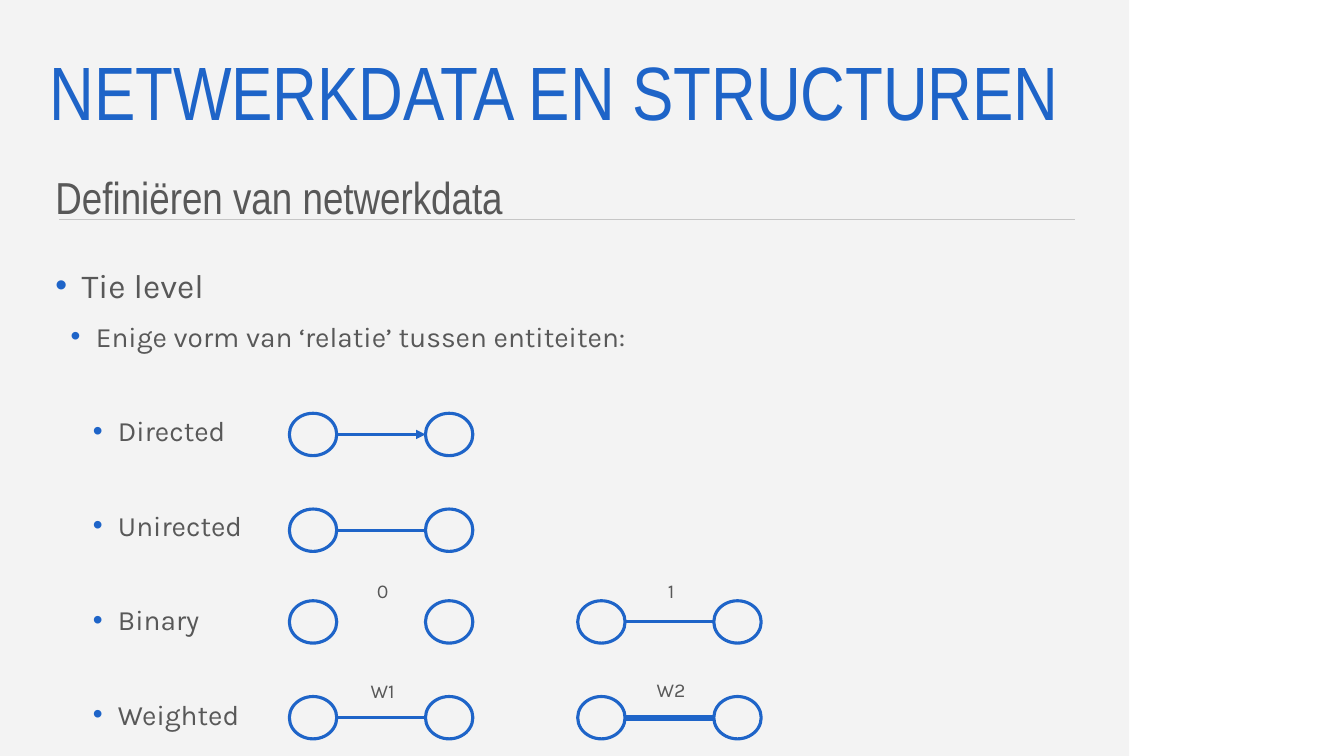
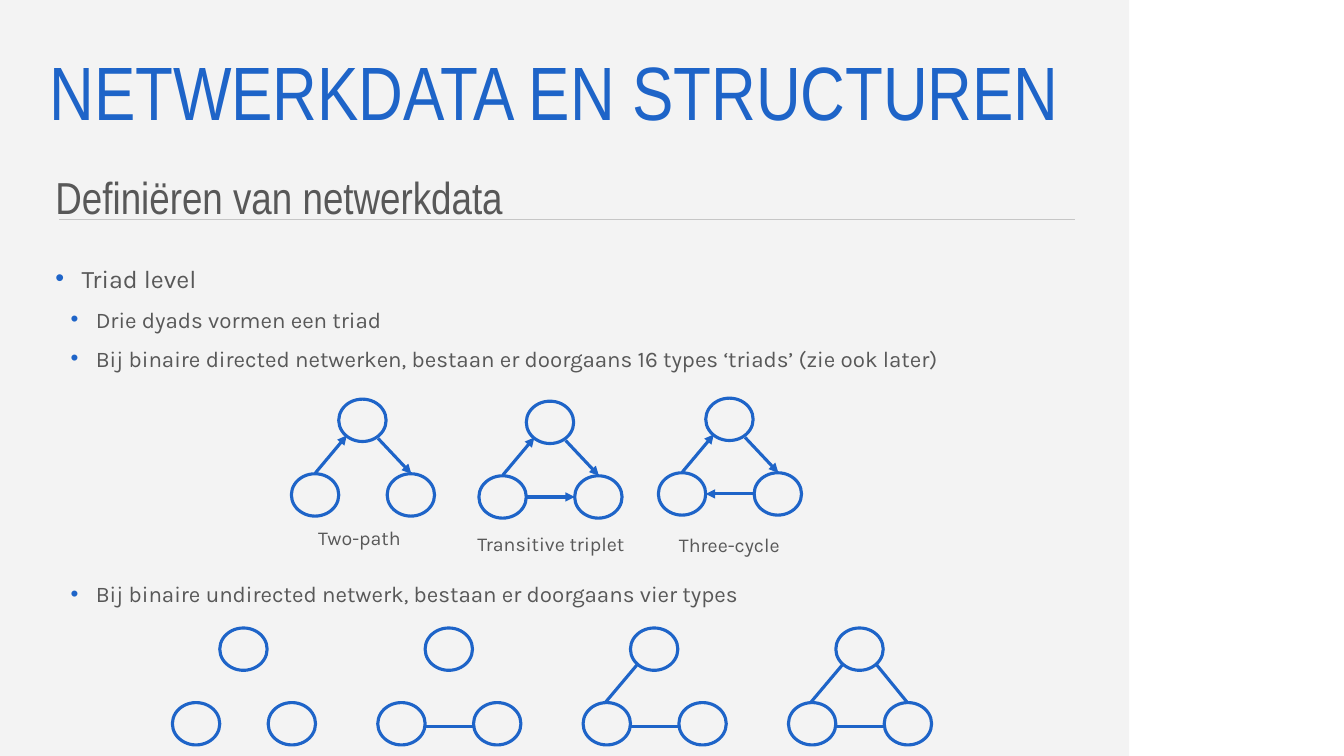
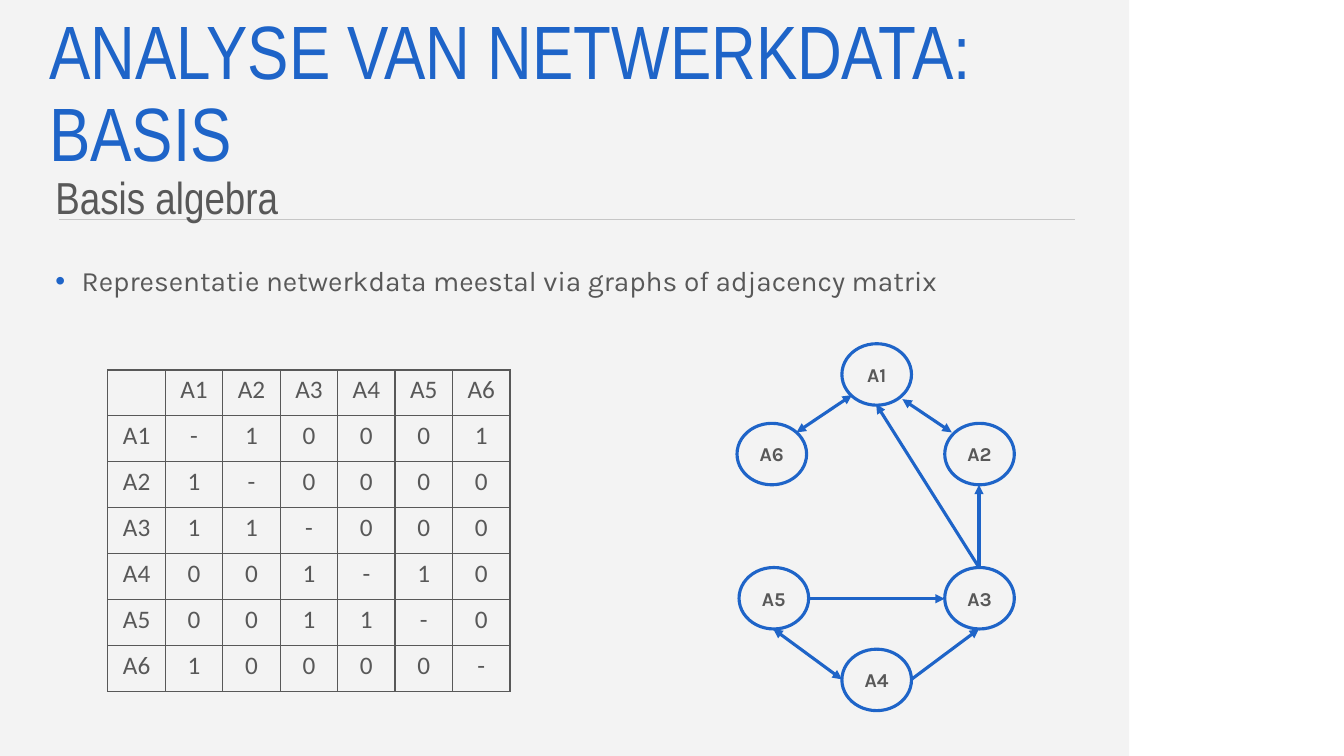
import lxml.etree
import pptx
import pptx.dml.color
import pptx.enum.shapes
import pptx.enum.text
import pptx.oxml
import pptx.oxml.ns
import pptx.util

Inches, Pt = pptx.util.Inches, pptx.util.Pt
ALIGN = pptx.enum.text.PP_ALIGN
ANCHOR = pptx.enum.text.MSO_ANCHOR

# Shared look
BLUE, GREY, RULE, PANEL = "1E64C8", "585858", "C6C6C6", "F3F3F3"
HEADING, BODY, TABLE_FONT = "Arial Narrow", "Karla", "Calibri"
NODE_W, NODE_H = 0.47, 0.42
INDENTS = [(0.26, -0.26), (0.4, -0.25), (0.62, -0.25)]


def rgb(hex_colour):
    return pptx.dml.color.RGBColor.from_string(hex_colour)


def add_xml(parent, tag, **attributes):
    element = lxml.etree.SubElement(parent, pptx.oxml.ns.qn(tag))
    for key, value in attributes.items():
        element.set(key, str(value))
    return element


def add_run(paragraph, text, size, font, colour, bold=False):
    run = paragraph.add_run()
    run.text = text
    run.font.size = Pt(size)
    run.font.name = font
    run.font.bold = bold
    run.font.color.rgb = rgb(colour)


# Slide frame: layout, title, subtitle and list
def prepare_layout(prs):
    """Move the panel and rule to the layout and place its placeholders."""
    layout = prs.slide_layouts[3]
    boxes = [(0.39, 0.36, 10.26, 1.19), (0.45, 1.53, 10.2, 0.71), (0.45, 2.5, 10.2, 4.88)]
    for index, box in enumerate(boxes):
        holder = next(p for p in layout.placeholders if p.placeholder_format.idx == index)
        holder.left, holder.top, holder.width, holder.height = map(Inches, box)
    return layout


def add_frame(slide, layout):
    panel = slide.shapes.add_shape(
        pptx.enum.shapes.MSO_SHAPE.RECTANGLE, 0, 0, Inches(11.2), Inches(7.5))
    panel.shadow.inherit = False
    panel.fill.solid()
    panel.fill.fore_color.rgb = rgb(PANEL)
    panel.line.fill.background()
    rule = add_line(slide, (0.59, 2.18), (10.66, 2.18), width=0.5, colour=RULE)
    for position, part in enumerate((panel, rule)):
        layout.shapes._spTree.insert(2 + position, part._element)


def fill_heading(holder, text, size, colour, spacing, anchor):
    frame = holder.text_frame
    frame.auto_size = pptx.enum.text.MSO_AUTO_SIZE.NONE
    frame.vertical_anchor = anchor
    paragraph = frame.paragraphs[0]
    properties = paragraph._p.get_or_add_pPr()
    properties.set("marL", "0")
    properties.set("indent", "0")
    add_xml(properties, "a:buNone")
    paragraph.alignment = ALIGN.LEFT
    paragraph.line_spacing = spacing
    paragraph.space_before = Pt(0)
    add_run(paragraph, text, size, HEADING, colour)


def fill_list(holder, items):
    """Items are (level, text, size, space before)."""
    frame = holder.text_frame
    frame.auto_size = pptx.enum.text.MSO_AUTO_SIZE.NONE
    frame.vertical_anchor = ANCHOR.TOP
    for number, (level, text, size, before) in enumerate(items):
        paragraph = frame.add_paragraph() if number else frame.paragraphs[0]
        properties = paragraph._p.get_or_add_pPr()
        margin, hanging = INDENTS[level]
        properties.set("marL", str(Inches(margin)))
        properties.set("indent", str(Inches(hanging)))
        add_xml(add_xml(properties, "a:buClr"), "a:srgbClr", val=BLUE)
        add_xml(properties, "a:buFont", typeface="Arial")
        add_xml(properties, "a:buChar", char="•")
        paragraph.level = level
        paragraph.alignment = ALIGN.LEFT
        paragraph.line_spacing = 1.2
        paragraph.space_before = Pt(before)
        paragraph.space_after = Pt(0)
        add_run(paragraph, text, size, BODY, GREY)


def new_slide(prs, layout, title, subtitle, items):
    slide = prs.slides.add_slide(layout)
    holders = slide.placeholders
    fill_heading(holders[0], title, 54, BLUE, 0.9, ANCHOR.MIDDLE)
    fill_heading(holders[1], subtitle, 32, GREY, 1.2, ANCHOR.TOP)
    fill_list(holders[2], items)
    return slide


# Graph elements
def add_line(slide, start, end, width=2.25, colour=BLUE, head=False, tail=False):
    line = slide.shapes.add_connector(
        pptx.enum.shapes.MSO_CONNECTOR.STRAIGHT, *map(Inches, (*start, *end)))
    line.line.color.rgb = rgb(colour)
    line.line.width = Pt(width)
    outline = line.line._get_or_add_ln()
    if head:
        add_xml(outline, "a:headEnd", type="triangle")
    if tail:
        add_xml(outline, "a:tailEnd", type="triangle")
    add_xml(line._element.spPr, "a:effectLst")
    return line


def add_node(slide, left, top, width=NODE_W, height=NODE_H, label=None):
    node = slide.shapes.add_shape(
        pptx.enum.shapes.MSO_SHAPE.OVAL, *map(Inches, (left, top, width, height)))
    node.shadow.inherit = False
    node.fill.background()
    node.line.color.rgb = rgb(BLUE)
    node.line.width = Pt(2.25)
    if label:
        frame = node.text_frame
        frame.margin_left = frame.margin_right = 0
        frame.margin_top = frame.margin_bottom = 0
        frame.vertical_anchor = ANCHOR.MIDDLE
        frame.word_wrap = False
        frame.paragraphs[0].alignment = ALIGN.CENTER
        add_run(frame.paragraphs[0], label, 14, BODY, GREY, bold=True)


def add_caption(slide, text, left, top, width):
    frame = slide.shapes.add_textbox(*map(Inches, (left, top, width, 0.34))).text_frame
    frame.word_wrap = True
    frame.paragraphs[0].alignment = ALIGN.CENTER
    add_run(frame.paragraphs[0], text, 14, BODY, GREY)


def add_pair(slide, left, top, width=2.25, arrow=False):
    """Two nodes side by side, tied by a line unless width is 0."""
    distance = 1.35
    for offset in (0, distance):
        add_node(slide, left + offset, top)
    if width:
        middle = top + NODE_H / 2
        add_line(slide, (left + NODE_W, middle), (left + distance, middle), width, tail=arrow)


# Ties of a triad, relative to its top left corner
TIES = {
    "up": ((0.24, 0.73), (0.55, 0.36)),
    "down": ((0.86, 0.39), (1.19, 0.74)),
    "across": ((0.47, 0.95), (0.95, 0.95)),
    "back": ((0.95, 0.95), (0.47, 0.95)),
    "left side": ((0.22, 0.74), (0.54, 0.36)),
    "right side": ((1.18, 0.74), (0.87, 0.36)),
    "base": ((0.46, 0.98), (0.95, 0.98)),
}


def add_triad(slide, left, top, ties, directed=False):
    for x, y in ((0, 0.74), (0.47, 0), (0.95, 0.74)):
        add_node(slide, left + x, top + y)
    for tie in ties:
        start, end = [(left + x, top + y) for x, y in TIES[tie]]
        add_line(slide, start, end, tail=directed)


# Adjacency matrix
def add_matrix(slide, names, rows):
    size = len(names) + 1
    shape = slide.shapes.add_table(
        size, size, *map(Inches, (1.07, 3.67, 3.99, 3.19)))
    table = shape.table
    table.first_row = table.horz_banding = False
    grid = [["", *names]] + [[name, *row] for name, row in zip(names, rows)]
    for index in range(size):
        table.columns[index].width = Inches(3.99 / size)
        table.rows[index].height = Inches(3.19 / size)
    for r, values in enumerate(grid):
        for c, value in enumerate(values):
            cell = table.cell(r, c)
            properties = cell._tc.get_or_add_tcPr()
            for side in ("a:lnL", "a:lnR", "a:lnT", "a:lnB"):
                border = add_xml(properties, side, w=Pt(1))
                add_xml(add_xml(border, "a:solidFill"), "a:srgbClr", val=GREY)
            cell.fill.background()
            paragraph = cell.text_frame.paragraphs[0]
            paragraph.alignment = ALIGN.CENTER
            if value:
                add_run(paragraph, value, 18, TABLE_FONT, GREY)


# Slides
def tie_slide(prs, layout):
    gap = 38.7
    slide = new_slide(prs, layout, "NETWERKDATA EN STRUCTUREN", "Definiëren van netwerkdata", [
        (0, "Tie level", 24, 0),
        (1, "Enige vorm van ‘relatie’ tussen entiteiten:", 20, 5),
        *((2, kind, 20, gap) for kind in ("Directed", "Unirected", "Binary", "Weighted")),
    ])
    first, second = 2.87, 5.73
    add_pair(slide, first, 4.1, arrow=True)
    add_pair(slide, first, 5.05)
    for left, top, width, label, label_top in (
            (first, 5.96, 0, "0", 5.69), (second, 5.96, 2.25, "1", 5.69),
            (first, 6.91, 2.25, "W1", 6.69), (second, 6.91, 4.5, "W2", 6.68)):
        add_pair(slide, left, top, width)
        add_caption(slide, label, left + 0.55, label_top, 0.75)
    return slide


def triad_slide(prs, layout):
    slide = new_slide(prs, layout, "NETWERKDATA EN STRUCTUREN", "Definiëren van netwerkdata", [
        (0, "Triad level", 18, 0),
        (1, "Drie dyads vormen een triad", 16, 5),
        (1, "Bij binaire directed netwerken, bestaan er doorgaans 16 types ‘triads’ (zie ook later)",
         16, 5),
        (1, "Bij binaire undirected netwerk, bestaan er doorgaans vier types", 16, 145),
    ])
    for left, top, ties, label, label_left, label_top in (
            (2.89, 3.96, ("up", "down"), "Two-path", 2.38, 5.17),
            (4.75, 3.98, ("up", "down", "across"), "Transitive triplet", 4.28, 5.23),
            (6.53, 3.95, ("up", "down", "back"), "Three-cycle", 6.05, 5.24)):
        add_triad(slide, left, top, ties, directed=True)
        add_caption(slide, label, label_left, label_top, 2.37)
    undirected = ((), ("base",), ("base", "left side"), ("base", "left side", "right side"))
    for number, ties in enumerate(undirected):
        add_triad(slide, 1.71 + number * 6.11 / 3, 6.23, ties)


def algebra_slide(prs, layout):
    slide = new_slide(prs, layout, "ANALYSE VAN NETWERKDATA: BASIS", "Basis algebra", [
        (0, "Representatie netwerkdata meestal via graphs of adjacency matrix", 20, 0)])
    actors = {"A1": (8.35, 3.41), "A2": (9.37, 4.2), "A3": (9.37, 5.63),
              "A4": (8.35, 6.44), "A5": (7.33, 5.63), "A6": (7.31, 4.2)}
    add_matrix(slide, list(actors),
               ["-10001", "1-0000", "11-000", "001-10", "0011-0", "10000-"])
    for name, (left, top) in actors.items():
        add_node(slide, left, top, 0.69, 0.61, name)
    for start, end, mutual in (
            ((9.71, 5.63), (8.69, 4.01), False),
            ((8.02, 5.94), (9.37, 5.94), False),
            ((9.04, 6.74), (9.71, 6.24), False),
            ((9.71, 5.63), (9.71, 4.81), False),
            ((7.9, 4.29), (8.45, 3.92), True),
            ((7.67, 6.24), (8.35, 6.74), True),
            ((8.95, 3.96), (9.44, 4.29), True)):
        add_line(slide, start, end, head=mutual, tail=True)


def main():
    prs = pptx.Presentation()
    prs.slide_width, prs.slide_height = Inches(13.33), Inches(7.5)
    layout = prepare_layout(prs)
    add_frame(tie_slide(prs, layout), layout)
    triad_slide(prs, layout)
    algebra_slide(prs, layout)
    prs.save("out.pptx")


if __name__ == "__main__":
    main()
